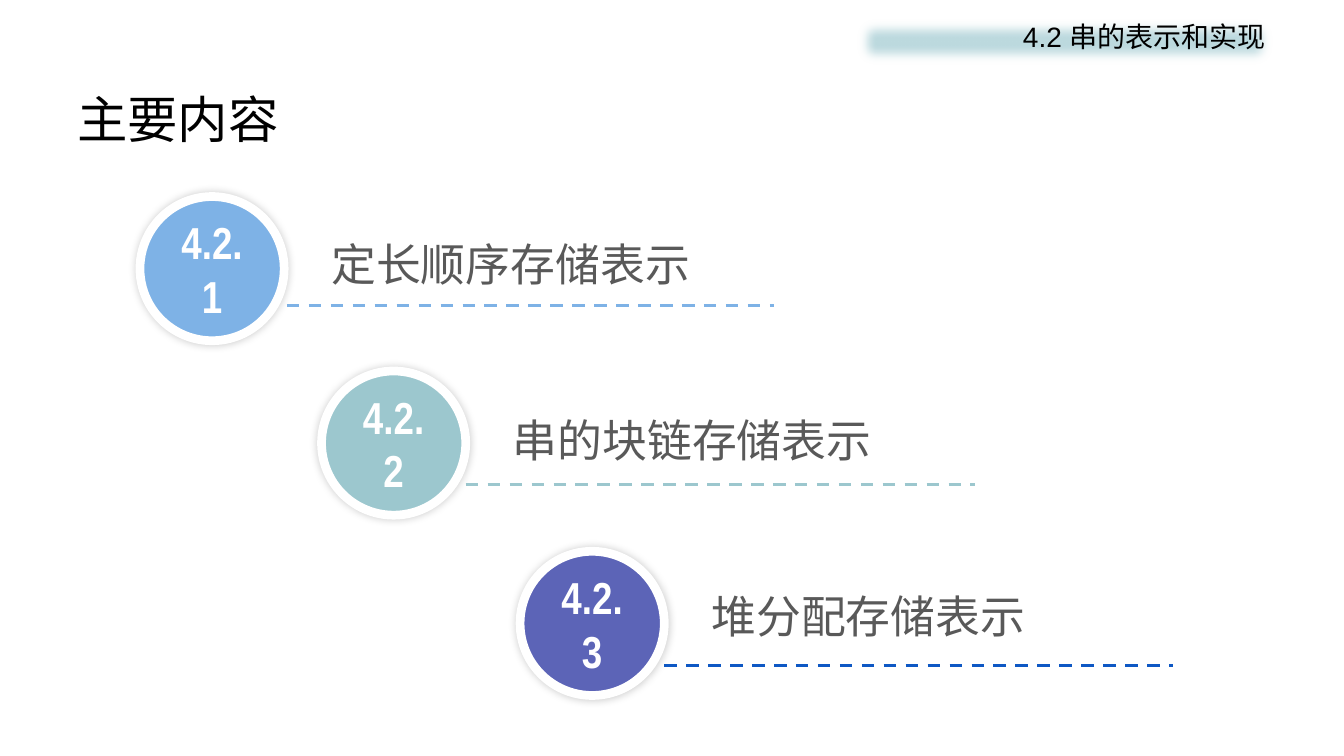
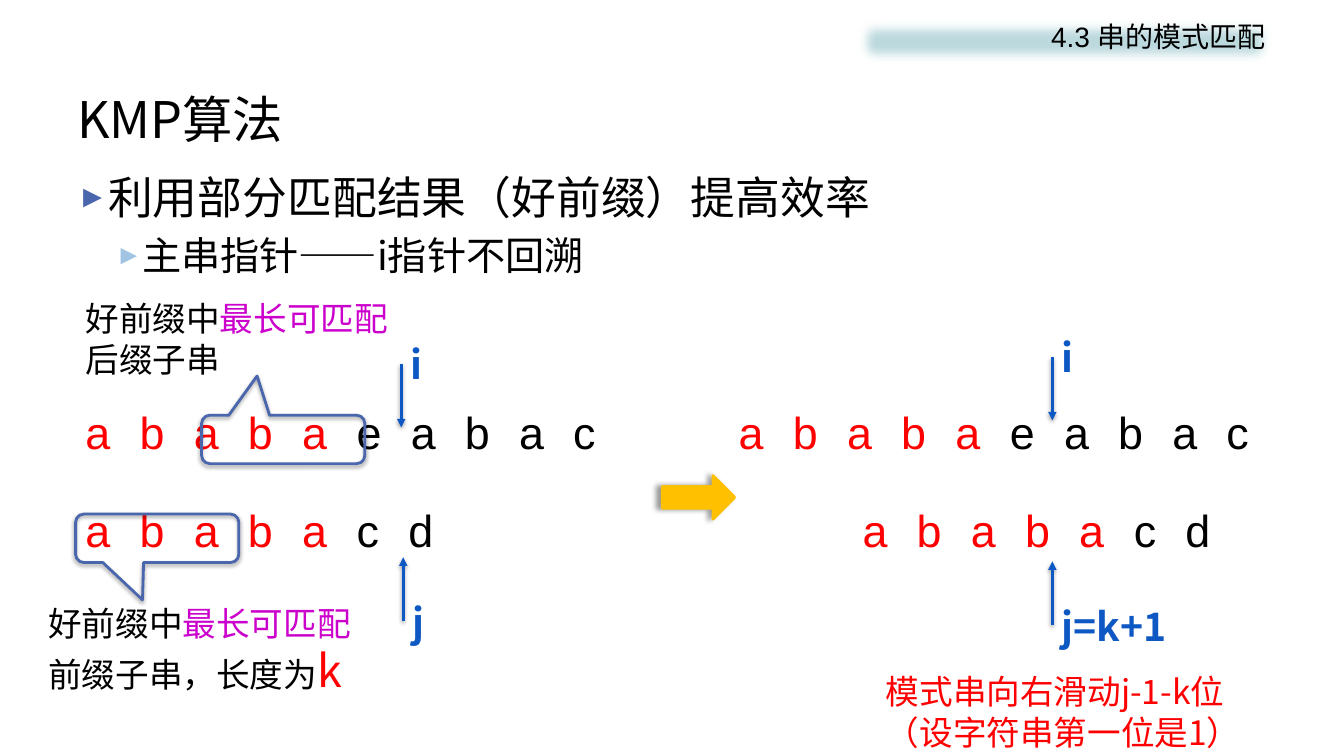
from lxml import etree
from pptx import Presentation
from pptx.dml.color import RGBColor
from pptx.enum.dml import MSO_LINE
from pptx.enum.shapes import MSO_CONNECTOR, MSO_SHAPE
from pptx.enum.text import MSO_ANCHOR, PP_ALIGN
from pptx.oxml.ns import qn
from pptx.util import Pt

NOTO, ARIAL, NARROW = "Noto Sans CJK SC", "Arial", "Arial Narrow"
BLACK, WHITE, GREY, RED = "000000", "FFFFFF", "595959", "FF0000"
BLUE, INK, PINK, GOLD, BAND = "0E58C4", "4A66AC", "CC00CC", "FFC000", "BDDADF"

# Shadows: opacity %, blur, distance, direction in degrees
RING, SOFT, SIDE = (20, 6, 0, 225), (38, 3.1, 1.6, 90), (40, 4, 3, 180)

# Number, heading, circle colour, line colour, circle x and y, line dx and dy, heading dy
TOPICS = [
    ("4.2.1", "定长顺序存储表示", "7EB2E6", "7EB2E6", 100, 140.4, 89.3, 77.8, 25.2),
    ("4.2.2", "串的块链存储表示", "9CC7CE", "9CC7CE", 229.7, 265, 103, 81.3, 25.9),
    ("4.2.3", "堆分配存储表示", "5C64B7", BLUE, 371.5, 393.8, 103, 81.3, 23.1),
]
# Text, size, bullet colour, left margin, hanging indent
POINTS = [
    ("利用部分匹配结果（好前缀）提高效率", 32, INK, 20.2, 20.2),
    ("主串指针——i指针不回溯", 28, "A1C4E3", 43.9, 16.6),
]
# Unmatched tail, x, y, width
MAIN, PATTERN = "e a b a c", "c d"
STRINGS = [
    (MAIN, 54, 285.8, 438), (PATTERN, 54, 355.7, 338),
    (MAIN, 520.6, 285.8, 438), (PATTERN, 609.1, 355.7, 338),
]
# x, y, pointer offsets
BUBBLES = [(54, 367.2, -0.09, 1.27), (144, 296.6, -0.16, -1.31)]
# Label, x, start y, direction
POINTERS = [
    ("i", 286.6, 259.9, 1), ("j", 288, 443.5, -1),
    ("i", 751.7, 254.9, 1), ("j=k+1", 751.7, 446.4, -1),
]
LEAD = [("好前缀中", {}), ("最长可匹配", {"color": PINK})]
# Paragraphs, box
NOTES = [
    ([LEAD + [("后缀子串", {})]], (54, 209.5, 234, 65.5)),
    ([LEAD + [("前缀子串，长度为", {}), ("k", {"size": 32, "color": RED})]],
     (27.4, 427, 252, 74.9)),
    ([[("模式串向右滑动j-1-k位", {"color": RED})],
      [("（设字符串第一位是1）", {"color": RED})]], (625.7, 475.9, 304.6, 65.5)),
]


def rgb(code):
    return RGBColor.from_string(code)


def sub(parent, tag, **attrs):
    node = etree.SubElement(parent, qn(tag))
    for key, val in attrs.items():
        node.set(key, str(val))
    return node


def effect(shape, shadow=None, edge=None):
    """Replace inherited effects with an outer shadow, a soft edge or nothing."""
    props = shape._element.spPr
    for old in props.findall(qn("a:effectLst")):
        props.remove(old)
    box = sub(props, "a:effectLst")
    if shadow:
        alpha, blur, dist, angle = shadow
        node = sub(box, "a:outerShdw", blurRad=int(Pt(blur)), dist=int(Pt(dist)),
                   dir=angle * 60000, algn="ctr", rotWithShape=0)
        sub(sub(node, "a:srgbClr", val=BLACK), "a:alpha", val=alpha * 1000)
    if edge:
        sub(box, "a:softEdge", rad=int(Pt(edge)))


def style(run, size=24, color=BLACK, face=NOTO, bold=False, gap=0):
    for key, val in {"size": Pt(size), "name": face, "bold": bold}.items():
        setattr(run.font, key, val)
    run.font.color.rgb = rgb(color)
    props = run._r.get_or_add_rPr()
    sub(props, "a:ea", typeface=NOTO)
    if gap:
        props.set("spc", str(gap * 100))


def write(shape, paras, align=PP_ALIGN.LEFT, anchor=MSO_ANCHOR.TOP, **base):
    """Fill a shape with paragraphs, each a list of (text, format) runs."""
    frame = shape.text_frame
    frame.word_wrap, frame.vertical_anchor = True, anchor
    for num, runs in enumerate(paras):
        para = frame.add_paragraph() if num else frame.paragraphs[0]
        para.alignment = align
        for text, form in runs:
            run = para.add_run()
            run.text = text
            style(run, **{**base, **form})
    return frame


def label(slide, paras, box, **form):
    if isinstance(paras, str):
        paras = [[(paras, {})]]
    return write(slide.shapes.add_textbox(*map(Pt, box)), paras, **form)


def draw(slide, kind, box, fill=None, line=None, width=2, **effects):
    shape = slide.shapes.add_shape(kind, *map(Pt, box))
    if fill:
        shape.fill.solid()
        shape.fill.fore_color.rgb = rgb(fill)
    else:
        shape.fill.background()
    if line:
        shape.line.color.rgb = rgb(line)
        shape.line.width = Pt(width)
    else:
        shape.line.fill.background()
    effect(shape, **effects)
    return shape


def stroke(slide, ends, color, width, dash=None, head=False, shadow=None):
    line = slide.shapes.add_connector(MSO_CONNECTOR.STRAIGHT, *map(Pt, ends))
    line.line.color.rgb = rgb(color)
    line.line.width = Pt(width)
    if dash:
        line.line.dash_style = dash
    if head:
        sub(line.line._get_or_add_ln(), "a:tailEnd", type="triangle")
    effect(line, shadow)


def start(deck, title, section):
    """Add a slide with its title and section band."""
    slide = deck.slides.add_slide(deck.slide_layouts[6])
    label(slide, title, (48, 57.6, 864, 54), size=36, anchor=MSO_ANCHOR.MIDDLE)
    band = draw(slide, MSO_SHAPE.RECTANGLE, (609.1, 10.1, 302.4, 38.9), BAND, edge=9)
    write(band, [[(section, {})]], PP_ALIGN.RIGHT, size=20, face=ARIAL)
    return slide


def outline(deck):
    slide = start(deck, "主要内容", "4.2 串的表示和实现")
    for num, text, fill, color, x, y, dx, dy, drop in TOPICS:
        left, level = x + dx, y + dy
        stroke(slide, (left, level, left + 363.6, level), color, 2.25, MSO_LINE.DASH)
        disc = draw(slide, MSO_SHAPE.OVAL, (x, y, 103, 103), fill, WHITE, 6.25,
                    shadow=RING)
        frame = write(disc, [[(num, {})]], PP_ALIGN.CENTER, MSO_ANCHOR.MIDDLE,
                      size=32, color=WHITE, face=NARROW, bold=True)
        frame.margin_left = frame.margin_right = Pt(8)
        label(slide, text, (x + 129.6, y + drop, 284, 46), size=32, color=GREY)


def bullets(slide):
    paras = [[(text, {"size": size})] for text, size, *_ in POINTS]
    frame = label(slide, paras, (48, 117.4, 864, 92.9))
    for num, (para, point) in enumerate(zip(frame.paragraphs, POINTS)):
        _, size, color, margin, hang = point
        if num:
            para.space_before = Pt(size * 0.2)
        props = para._p.get_or_add_pPr()
        props.set("marL", str(int(Pt(margin))))
        props.set("indent", str(-int(Pt(hang))))
        sub(sub(props, "a:buClr"), "a:srgbClr", val=color)
        sub(props, "a:buSzPct", val=70000)
        sub(props, "a:buFont", typeface=ARIAL)
        sub(props, "a:buChar", char="►")


def matching(deck):
    slide = start(deck, "KMP算法", "4.3 串的模式匹配")
    bullets(slide)
    for tail, x, y, wide in STRINGS:
        label(slide, [[("a b a b a ", {"color": RED}), (tail, {})]],
              (x, y, wide, 46), size=32, face=ARIAL, gap=6)
    for x, y, *tip in BUBBLES:
        bubble = draw(slide, MSO_SHAPE.ROUNDED_RECTANGULAR_CALLOUT,
                      (x, y, 116.6, 34.6), line=INK, shadow=SOFT)
        for num, val in enumerate(tip + [0.17]):
            bubble.adjustments[num] = val
    for paras, box in NOTES:
        label(slide, paras, box)
    for text, x, y, way in POINTERS:
        stroke(slide, (x, y, x, y + way * 45.4), BLUE, 2, head=True, shadow=SOFT)
        label(slide, text, (x - 0.5, y - 20, 128, 41), size=28, color=BLUE, bold=True)
    draw(slide, MSO_SHAPE.RIGHT_ARROW, (473, 339.8, 51.8, 31), GOLD, GOLD, shadow=SIDE)


def main():
    deck = Presentation()
    deck.slide_width, deck.slide_height = Pt(960), Pt(540)
    outline(deck)
    matching(deck)
    deck.save("out.pptx")


if __name__ == "__main__":
    main()
